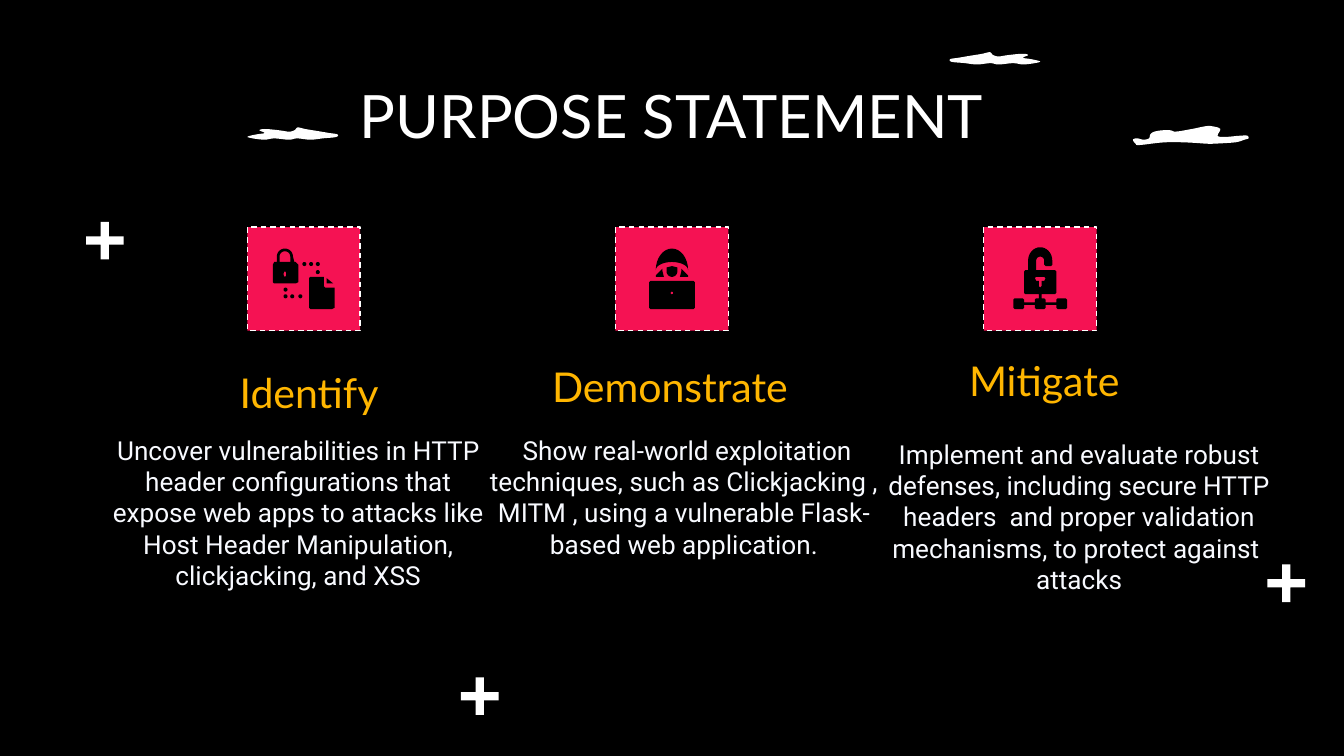
"""Build the purpose statement slide with three illustrated aims."""
import math

import pptx
import pptx.dml.color
import pptx.enum.dml
import pptx.enum.shapes
import pptx.enum.text
import pptx.util

Inches = pptx.util.Inches
SHAPE = pptx.enum.shapes.MSO_SHAPE
ANCHOR = pptx.enum.text.MSO_ANCHOR

BLACK, WHITE, PINK = "000000", "FFFFFF", "F51253"
AMBER, PALE = "FFB600", "F8FAFF"

AIMS = [
    ("Identify", (1.4, 2.62, 1.8, 0.58), (0.67, 3.13, 3.1, 1.59),
     "Uncover vulnerabilities in HTTP header configurations that expose web apps "
     "to attacks like Host Header Manipulation, clickjacking, and XSS"),
    ("Demonstrate", (3.82, 2.53, 2.33, 0.63), (3.54, 3.13, 3.1, 1.87),
     " Show real-world exploitation techniques, such as Clickjacking , MITM , "
     "using a vulnerable Flask-based web application."),
    ("Mitigate", (6.84, 2.53, 1.86, 0.58), (6.48, 3.16, 3.1, 1.76),
     "Implement and evaluate robust defenses, including secure HTTP headers  and "
     "proper validation mechanisms, to protect against  attacks"),
]

SMALL_CLOUD = [
    (7.35, 0.39), (7.37, 0.39), (7.39, 0.41), (7.43, 0.42), (7.5, 0.41), (7.61, 0.4),
    (7.65, 0.41), (7.61, 0.43), (7.67, 0.44), (7.74, 0.46), (7.62, 0.48),
    (7.54, 0.47), (7.43, 0.48), (7.37, 0.47), (7.27, 0.48), (7.18, 0.47),
    (7.08, 0.46), (7.07, 0.44), (7.13, 0.43), (7.25, 0.41), (7.31, 0.4)]
LARGE_CLOUD = [
    (8.97, 0.94), (9.02, 0.94), (9.08, 0.96), (9.06, 1.01), (9.11, 1.02), (9.23, 1.01),
    (9.28, 1.01), (9.29, 1.03), (9.26, 1.04), (9.19, 1.06), (9.03, 1.07), (8.98, 1.07),
    (8.82, 1.06), (8.66, 1.06), (8.48, 1.08), (8.45, 1.07), (8.43, 1.04), (8.46, 1.03),
    (8.51, 1.04), (8.55, 1.03), (8.56, 1), (8.59, 0.98), (8.65, 0.97), (8.71, 0.97),
    (8.75, 0.98), (8.87, 0.96)]


def color(value):
    """Turn a hex string into a colour."""
    return pptx.dml.color.RGBColor.from_string(value)


def arc(x, y, across, down, start, end):
    """List points along an elliptical arc, in clockwise degrees."""
    angles = [math.radians(start + (end - start) * step / 16) for step in range(17)]
    return [(x + across * math.cos(a), y + down * math.sin(a)) for a in angles]


def smooth(points):
    """List points along a closed spline through the given points."""
    curve = []
    for i, here in enumerate(points):
        before, after, beyond = (points[(i + k) % len(points)] for k in (-1, 1, 2))
        for t in (0, 0.25, 0.5, 0.75):
            curve.append(tuple(
                b + t * (c - a) / 2 + t * t * (2 * a - 5 * b + 4 * c - d) / 2
                + t ** 3 * (3 * b - a - 3 * c + d) / 2
                for a, b, c, d in zip(before, here, after, beyond)))
    return curve


def rounded(left, top, right, bottom, cut=0.01):
    """List the corners of a rectangle with cut corners."""
    return [(left + cut, top), (right - cut, top), (right, top + cut),
            (right, bottom - cut), (right - cut, bottom), (left + cut, bottom),
            (left, bottom - cut), (left, top + cut)]


def mirrored(points, total, drop=0):
    """Flip points so that old and new x add up to total."""
    return [(total - x, y + drop) for x, y in points]


class Slide:
    """Hold the style and the current page."""

    def __init__(self, deck):
        """Add a blank black page."""
        self.page = deck.slides.add_slide(deck.slide_layouts[6])
        self.page.background.fill.solid()
        self.page.background.fill.fore_color.rgb = color(BLACK)

    def text(self, area, words, font, size, ink, anchor=ANCHOR.TOP):
        """Add a centred text box."""
        box = self.page.shapes.add_textbox(*map(Inches, area))
        frame = box.text_frame
        frame.word_wrap = True
        frame.vertical_anchor = anchor
        frame.margin_left = frame.margin_right = Inches(0.1)
        frame.margin_top = frame.margin_bottom = Inches(0.1)
        frame.text = words
        para = frame.paragraphs[0]
        para.alignment = pptx.enum.text.PP_ALIGN.CENTER
        span = para.runs[0]
        span.font.name = font
        span.font.size = pptx.util.Pt(size)
        span.font.color.rgb = color(ink)

    def paint(self, shape, fill):
        """Give a shape a flat fill without line or shadow."""
        shape.shadow.inherit = False
        shape.fill.solid()
        shape.fill.fore_color.rgb = color(fill)
        shape.line.fill.background()
        return shape

    def preset(self, kind, area, fill):
        """Add a preset shape."""
        return self.paint(self.page.shapes.add_shape(kind, *map(Inches, area)), fill)

    def outline(self, fill, *contours):
        """Add a freeform, where inner contours become holes."""
        loops = [[(Inches(x), Inches(y)) for x, y in loop] for loop in contours]
        builder = self.page.shapes.build_freeform(*loops[0][0])
        builder.add_line_segments(loops[0][1:])
        for loop in loops[1:]:
            builder.move_to(*loop[0])
            builder.add_line_segments(loop[1:])
        return self.paint(builder.convert_to_shape(), fill)

    def tile(self, left):
        """Add a dashed icon tile."""
        tile = self.preset(SHAPE.RECTANGLE, (left, 1.69, 0.84, 0.77), PINK)
        tile.line.color.rgb = color(WHITE)
        tile.line.width = pptx.util.Pt(0.75)
        tile.line.dash_style = pptx.enum.dml.MSO_LINE.DASH

    def plus(self, left, top):
        """Add a plus sign."""
        self.preset(SHAPE.CROSS, (left, top, 0.28, 0.28), WHITE).adjustments[0] = 0.39

    def locked_file_icon(self):
        """Draw a padlock linked by dots to a document."""
        dots = [(2.25, 1.95), (2.3, 1.95), (2.35, 1.95), (2.35, 2.01),
                (2.11, 2.14), (2.11, 2.19), (2.16, 2.19), (2.22, 2.19)]
        parts = [self.preset(SHAPE.OVAL, (*dot, 0.03, 0.03), BLACK) for dot in dots]
        body = [(2.19, 1.95), (2.2, 1.95), (2.22, 1.97), (2.22, 2.1), (2.2, 2.11),
                (2.04, 2.11), (2.03, 2.1), (2.03, 1.97), (2.04, 1.95), (2.06, 1.95)]
        parts.append(self.outline(
            BLACK, arc(2.12, 1.91, 0.06, 0.06, 180, 360) + body,
            [(2.08, 1.95), *arc(2.12, 1.91, 0.04, 0.04, 180, 360), (2.16, 1.95)],
            arc(2.12, 2.04, 0.01, 0.02, 0, 360)))
        parts.append(self.outline(BLACK, [(2.43, 2.07), (2.43, 2.11), (2.48, 2.11)]))
        parts.append(self.outline(BLACK, [
            (2.31, 2.06), (2.41, 2.06), (2.41, 2.13), (2.42, 2.14), (2.49, 2.14),
            (2.49, 2.29), (2.47, 2.3), (2.31, 2.3), (2.3, 2.29), (2.3, 2.07)]))
        self.page.shapes.add_group_shape(parts)

    def hacker_icon(self):
        """Draw a hooded figure behind a laptop."""
        side = [(4.93, 2), (4.88, 2.05), (4.88, 2.06), (4.94, 2.06), (4.93, 2.02)]
        hood = arc(5, 2.01, 0.12, 0.16, 180, 360) + arc(5, 2.01, 0.12, 0.06, 360, 180)
        face = arc(5, 2.02, 0.04, 0.04, 0, 180) + [(4.96, 1.99), (5, 1.98), (5.04, 1.99)]
        self.page.shapes.add_group_shape([
            self.outline(BLACK, rounded(4.83, 2.09, 5.17, 2.3),
                         arc(5, 2.18, 0.01, 0.01, 0, 360)),
            self.outline(BLACK, side), self.outline(BLACK, face),
            self.outline(BLACK, hood), self.outline(BLACK, mirrored(side, 10))])

    def open_lock_icon(self):
        """Draw an open padlock above a three-node network."""
        half = [(7.75, 2.19), (7.75, 2.22), (7.77, 2.22), (7.78, 2.23), (7.78, 2.25),
                (7.86, 2.25), (7.86, 2.23), (7.87, 2.22), (7.93, 2.22), (7.94, 2.23),
                (7.94, 2.29), (7.93, 2.3), (7.87, 2.3), (7.86, 2.29), (7.86, 2.27),
                (7.78, 2.27), (7.78, 2.29), (7.77, 2.3)]
        lock = [(7.63, 2.19), (7.62, 2.18), (7.62, 2.02), (7.63, 2.01), (7.65, 2.01),
                *arc(7.74, 1.94, 0.09, 0.1, 180, 360), (7.83, 1.97), (7.82, 1.98),
                (7.78, 1.98), (7.77, 1.97), *arc(7.74, 1.94, 0.03, 0.03, 360, 180),
                (7.71, 2.01), (7.85, 2.01), (7.86, 2.02), (7.86, 2.18), (7.85, 2.19)]
        keyhole = [(7.71, 2.06), (7.77, 2.06), (7.78, 2.07), (7.77, 2.09), (7.75, 2.09),
                   (7.75, 2.13), (7.74, 2.14), (7.73, 2.13), (7.73, 2.09), (7.71, 2.09),
                   (7.7, 2.07)]
        self.outline(BLACK, lock + half + mirrored(half, 15.48)[::-1], keyhole)


def main():
    """Build and save the deck."""
    deck = pptx.Presentation()
    deck.slide_width = Inches(10)
    deck.slide_height = deck.slide_width * 9 // 16
    slide = Slide(deck)
    slide.outline(WHITE, smooth(SMALL_CLOUD))
    for spot in [(0.64, 1.65), (3.43, 5.04), (9.43, 4.2)]:
        slide.plus(*spot)
    slide.text((0.78, 0.49, 8.44, 0.63), "PURPOSE STATEMENT", "Lato", 32, WHITE)
    for column, (heading, heading_area, body_area, body) in enumerate(AIMS):
        slide.text(body_area, body, "Roboto", 14, PALE)
        slide.text(heading_area, heading, "Lato", 22, AMBER, ANCHOR.BOTTOM)
        slide.tile(1.84 + 2.74 * column)
    slide.open_lock_icon()
    slide.locked_file_icon()
    slide.hacker_icon()
    slide.outline(WHITE, smooth(LARGE_CLOUD))
    slide.outline(WHITE, smooth(mirrored(SMALL_CLOUD, 9.58, 0.56)))
    deck.save("out.pptx")


if __name__ == "__main__":
    main()
